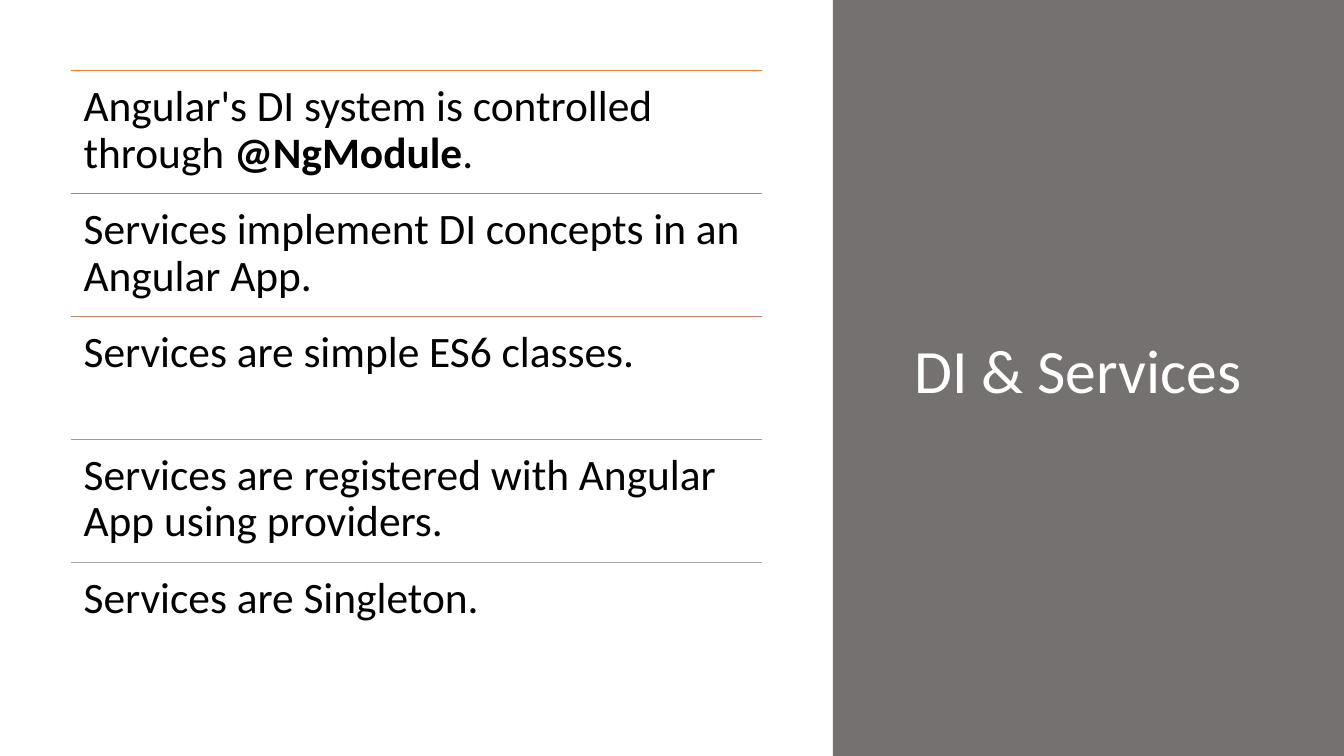
from pptx import Presentation
from pptx.dml.color import RGBColor
from pptx.enum.shapes import MSO_CONNECTOR, MSO_SHAPE
from pptx.enum.text import MSO_ANCHOR, PP_ALIGN
from pptx.oxml.ns import qn
from pptx.util import Inches, Pt
from lxml.etree import SubElement

WHITE = RGBColor(0xFF, 0xFF, 0xFF)
BLACK = RGBColor(0x00, 0x00, 0x00)
GRAY = RGBColor(0x76, 0x71, 0x71)
ORANGE = RGBColor(0xED, 0x7D, 0x31)
COPPER = RGBColor(0xD8, 0x7A, 0x51)
ROSE = RGBColor(0xC4, 0x81, 0x70)
MAUVE = RGBColor(0xB4, 0x90, 0x8B)
SILVER = RGBColor(0xA5, 0xA5, 0xA5)

LEFT, TOP, WIDTH, STEP = 0.7, 0.7, 6.86, 1.22

POINTS = [
    (ORANGE, [("Angular's DI system is controlled through ", False),
              ("@NgModule", True), (".", False)]),
    (COPPER, [("Services implement DI concepts in an Angular App.", False)]),
    (ROSE, [("Services are simple ES6 classes.", False)]),
    (MAUVE, [("Services are registered with Angular App using providers.", False)]),
    (SILVER, [("Services are Singleton.", False)]),
]


class Deck:
    """Hold the text style and the current slide, and draw its elements."""

    def __init__(self, slide, font="Calibri"):
        self.slide = slide
        self.font = font

    def panel(self, x, y, w, h, color):
        box = self.slide.shapes.add_shape(
            MSO_SHAPE.RECTANGLE, Inches(x), Inches(y), Inches(w), Inches(h))
        box.shadow.inherit = False
        box.fill.solid()
        box.fill.fore_color.rgb = color
        box.line.fill.background()

    def rule(self, x, y, w, color):
        line = self.slide.shapes.add_connector(
            MSO_CONNECTOR.STRAIGHT, Inches(x), Inches(y), Inches(x + w), Inches(y))
        line.line.color.rgb = color
        line.line.width = Pt(1)
        SubElement(line._element.spPr, qn("a:effectLst"))

    def text(self, x, y, w, h, runs, size, color, inset=(0.1, 0.05),
             anchor=MSO_ANCHOR.TOP):
        box = self.slide.shapes.add_textbox(
            Inches(x), Inches(y), Inches(w), Inches(h))
        frame = box.text_frame
        frame.word_wrap = True
        frame.vertical_anchor = anchor
        frame.margin_left = frame.margin_right = Inches(inset[0])
        frame.margin_top = frame.margin_bottom = Inches(inset[1])
        para = frame.paragraphs[0]
        para.alignment = PP_ALIGN.LEFT
        para.line_spacing = 0.9
        for words, bold in runs:
            run = para.add_run()
            run.text = words
            run.font.name = self.font
            run.font.size = Pt(size)
            run.font.bold = bold
            run.font.color.rgb = color


def main():
    show = Presentation()
    show.slide_width, show.slide_height = Inches(13.33), Inches(7.5)
    deck = Deck(show.slides.add_slide(show.slide_layouts[6]))
    deck.panel(8.26, 0, 5.07, 7.5, GRAY)
    deck.text(8.97, 0.7, 4.01, 6.02, [("DI & Services", False)], 44, WHITE,
              anchor=MSO_ANCHOR.MIDDLE)
    for row, (color, runs) in enumerate(POINTS):
        y = TOP + row * STEP
        deck.rule(LEFT, y, WIDTH, color)
        deck.text(LEFT, y, WIDTH, STEP, runs, 31, BLACK, inset=(0.13, 0.13))
    show.save("out.pptx")


if __name__ == "__main__":
    main()
